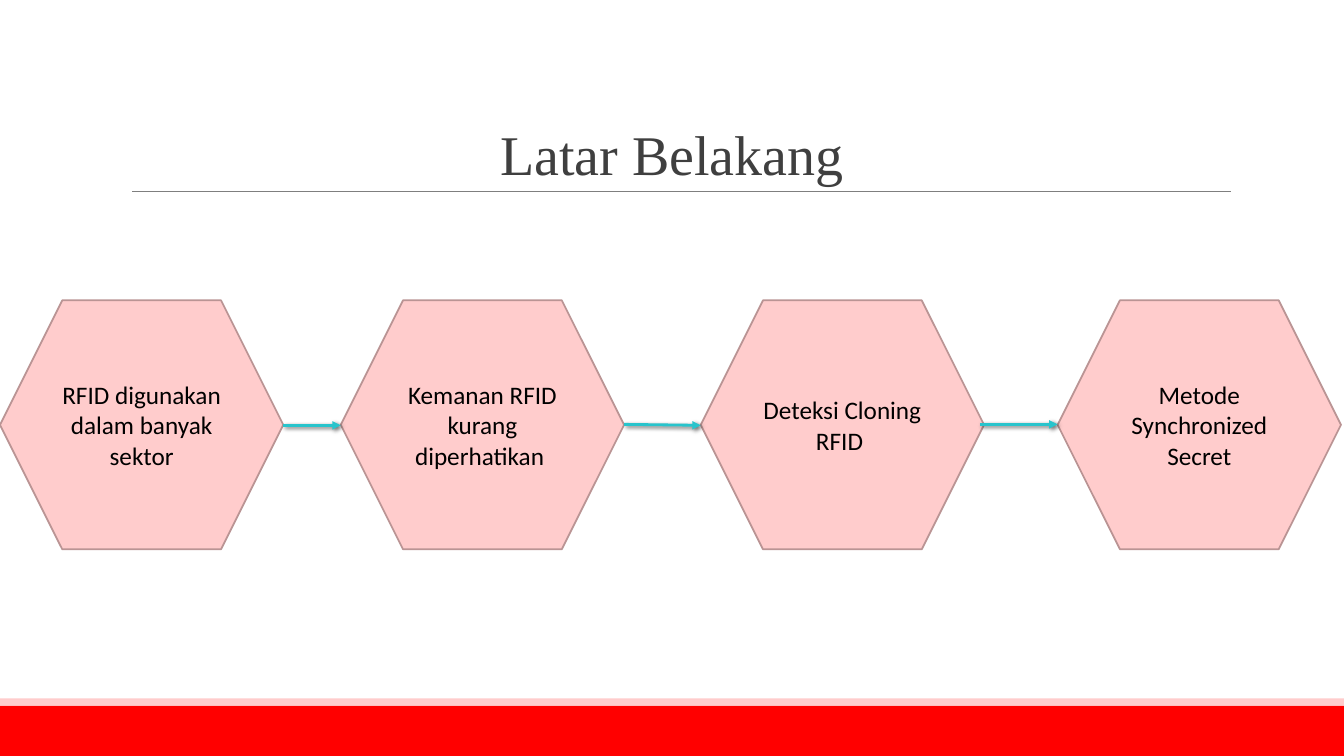
"""Build the "Latar Belakang" slide: four hexagon steps joined by arrows."""
from dataclasses import dataclass

from lxml.etree import SubElement
from pptx import Presentation
from pptx.dml.color import RGBColor
from pptx.enum.shapes import MSO_CONNECTOR, MSO_SHAPE
from pptx.enum.text import MSO_ANCHOR, MSO_AUTO_SIZE, PP_ALIGN
from pptx.oxml.ns import qn
from pptx.shapes.autoshape import Shape
from pptx.shapes.connector import Connector
from pptx.slide import Slide
from pptx.text.text import TextFrame
from pptx.util import Inches, Pt


@dataclass(frozen=True)
class Theme:
    red: str = "FF0000"
    pink: str = "FFCCCC"
    edge: str = "BA9494"
    rule: str = "7F7F7F"
    arrow: str = "28C4CC"
    title: str = "3F3F3F"
    text: str = "000000"
    head: str = "Times New Roman"
    body: str = "Calibri"
    large: int = 40
    small: int = 18


@dataclass(frozen=True)
class Box:
    left: float
    top: float
    width: float
    height: float


@dataclass(frozen=True)
class Band:
    box: Box
    color: str


@dataclass(frozen=True)
class Step:
    left: float
    text: str


@dataclass(frozen=True)
class Line:
    start: tuple[float, float]
    end: tuple[float, float]


THEME = Theme()
WIDTH, HEIGHT = 13.33, 7.5
TOP, WIDE, HIGH = 2.98, 2.81, 2.47
BANDS = [
    Band(Box(0, 7, WIDTH, 0.5), THEME.red),
    Band(Box(0, 6.93, WIDTH, 0.07), THEME.pink),
]
STEPS = [
    Step(0, "RFID digunakan dalam banyak sektor"),
    Step(3.38, "Kemanan RFID kurang diperhatikan "),
    Step(6.95, "Deteksi Cloning RFID "),
    Step(10.49, "Metode Synchronized Secret"),
]
RULE = Line((1.31, 1.9), (12.21, 1.9))
ARROWS = [
    Line((2.81, 4.22), (3.38, 4.22)),
    Line((6.19, 4.21), (6.95, 4.22)),
    Line((9.72, 4.21), (10.49, 4.21)),
]


def add_form(slide: Slide, kind: MSO_SHAPE, box: Box, fill: str) -> Shape:
    shape = slide.shapes.add_shape(
        kind, Inches(box.left), Inches(box.top), Inches(box.width), Inches(box.height)
    )
    shape.shadow.inherit = False
    shape.fill.solid()
    shape.fill.fore_color.rgb = RGBColor.from_string(fill)
    return shape


def set_text(frame: TextFrame, text: str, face: str, size: int, color: str) -> None:
    frame.text = text
    frame.word_wrap = True
    para = frame.paragraphs[0]
    para.alignment = PP_ALIGN.CENTER
    para.font.name = face
    para.font.size = Pt(size)
    para.font.color.rgb = RGBColor.from_string(color)


def add_band(slide: Slide, band: Band) -> None:
    add_form(slide, MSO_SHAPE.RECTANGLE, band.box, band.color).line.fill.background()


def add_step(slide: Slide, step: Step) -> None:
    box = Box(step.left, TOP, WIDE, HIGH)
    shape = add_form(slide, MSO_SHAPE.HEXAGON, box, THEME.pink)
    shape.line.color.rgb = RGBColor.from_string(THEME.edge)
    shape.line.width = Pt(1.25)
    shape.text_frame.vertical_anchor = MSO_ANCHOR.MIDDLE
    set_text(shape.text_frame, step.text, THEME.body, THEME.small, THEME.text)


def add_line(slide: Slide, line: Line, color: str, width: float) -> Connector:
    ends = [Inches(value) for value in (*line.start, *line.end)]
    link = slide.shapes.add_connector(MSO_CONNECTOR.STRAIGHT, *ends)
    link.line.color.rgb = RGBColor.from_string(color)
    link.line.width = Pt(width)
    SubElement(link._element.spPr, qn("a:effectLst"))
    return link


def add_arrow(slide: Slide, line: Line) -> None:
    link = add_line(slide, line, THEME.arrow, 2)
    props = link._element.spPr
    SubElement(props.find(qn("a:ln")), qn("a:tailEnd"), type="triangle")
    shade = SubElement(
        props.find(qn("a:effectLst")), qn("a:outerShdw"),
        blurRad=str(Pt(3)), dist=str(Pt(2)), dir=str(45 * 60000),
    )
    tint = SubElement(shade, qn("a:srgbClr"), val=THEME.text)
    SubElement(tint, qn("a:alpha"), val="60000")


def add_title(slide: Slide) -> None:
    title = slide.shapes.title
    title.left, title.top = Inches(0), Inches(0)
    title.width, title.height = Inches(WIDTH), Inches(1.9)
    frame = title.text_frame
    set_text(frame, "Latar Belakang", THEME.head, THEME.large, THEME.title)
    frame.auto_size = MSO_AUTO_SIZE.NONE
    frame.vertical_anchor = MSO_ANCHOR.BOTTOM
    frame.paragraphs[0].line_spacing = 0.85


def main() -> None:
    deck = Presentation()
    deck.slide_width, deck.slide_height = Inches(WIDTH), Inches(HEIGHT)
    slide = deck.slides.add_slide(deck.slide_layouts[5])
    for band in BANDS:
        add_band(slide, band)
    add_line(slide, RULE, THEME.rule, 0.75)
    add_title(slide)
    for step in STEPS:
        add_step(slide, step)
    for arrow in ARROWS:
        add_arrow(slide, arrow)
    deck.save("out.pptx")


if __name__ == "__main__":
    main()
